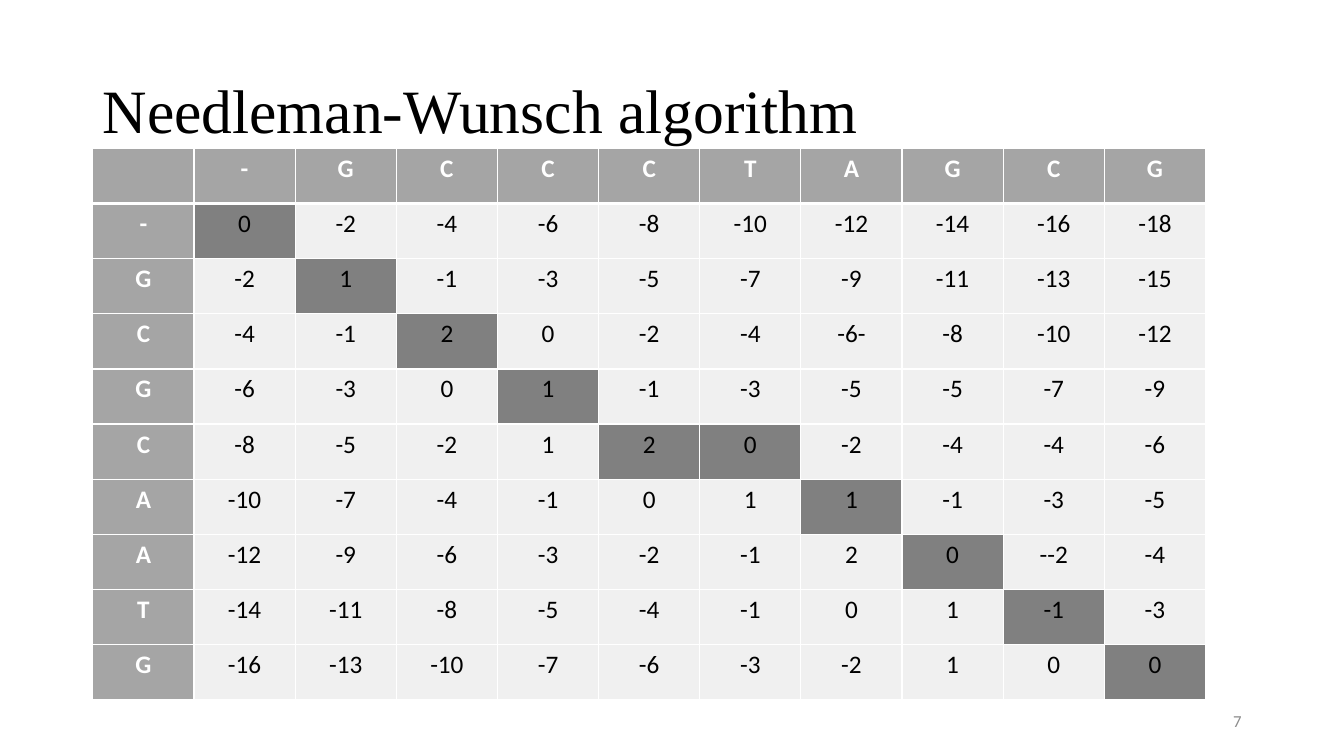
from dataclasses import dataclass

from lxml.etree import SubElement
from pptx import Presentation
from pptx.dml.color import RGBColor
from pptx.enum.text import MSO_ANCHOR, PP_ALIGN
from pptx.oxml.ns import qn
from pptx.util import Cm, Pt


@dataclass(frozen=True)
class Theme:
    heading_font: str = "Times New Roman"
    body_font: str = "Calibri"
    title_size: int = 44
    cell_size: int = 18
    number_size: int = 12
    black: str = "000000"
    white: str = "FFFFFF"
    label_fill: str = "A5A5A5"
    score_fill: str = "F0F0F0"
    path_fill: str = "808080"
    number_grey: str = "8C8C8C"


THEME = Theme()


def style(paragraph, font_name, size, color, align, bold=False):
    paragraph.alignment = align
    font = paragraph.font
    font.name, font.size, font.bold = font_name, Pt(size), bold
    font.color.rgb = RGBColor.from_string(color)


def add_borders(cell, widths):
    for side, width in widths.items():
        line = SubElement(cell._tc.get_or_add_tcPr(), qn(f"a:ln{side}"), w=str(Pt(width)))
        fill = SubElement(line, qn("a:solidFill"))
        SubElement(fill, qn("a:srgbClr"), val=THEME.white)


# Slide
deck = Presentation()
deck.slide_width, deck.slide_height = Cm(33.87), Cm(19.05)
slide = deck.slides.add_slide(deck.slide_layouts[5])

# Title
title = slide.shapes.title
title.left, title.top, title.width, title.height = Cm(2.33), Cm(1.01), Cm(29.21), Cm(3.68)
title.text_frame.text = "Needleman-Wunsch algorithm"
title.text_frame.vertical_anchor = MSO_ANCHOR.MIDDLE
heading = title.text_frame.paragraphs[0]
heading.line_spacing = 0.9
style(heading, THEME.heading_font, THEME.title_size, THEME.black, PP_ALIGN.LEFT)

# Slide number
number_box = slide.shapes.add_textbox(Cm(23.92), Cm(17.66), Cm(7.62), Cm(1.01))
number_box.text_frame.word_wrap = True
number_box.text_frame.vertical_anchor = MSO_ANCHOR.MIDDLE
number_box.text_frame.text = "7"
style(number_box.text_frame.paragraphs[0], THEME.body_font, THEME.number_size,
      THEME.number_grey, PP_ALIGN.RIGHT)

# Alignment scores: first row and first column hold the two sequences
matrix = [["", *"-GCCCTAGCG"]] + [line.split() for line in (
    "- 0 -2 -4 -6 -8 -10 -12 -14 -16 -18",
    "G -2 1 -1 -3 -5 -7 -9 -11 -13 -15",
    "C -4 -1 2 0 -2 -4 -6- -8 -10 -12",
    "G -6 -3 0 1 -1 -3 -5 -5 -7 -9",
    "C -8 -5 -2 1 2 0 -2 -4 -4 -6",
    "A -10 -7 -4 -1 0 1 1 -1 -3 -5",
    "A -12 -9 -6 -3 -2 -1 2 0 --2 -4",
    "T -14 -11 -8 -5 -4 -1 0 1 -1 -3",
    "G -16 -13 -10 -7 -6 -3 -2 1 0 0",
)]

# The traceback runs diagonally, with one horizontal step in row 5
traceback = {(i, i) for i in range(1, 6)} | {(i, i + 1) for i in range(5, 10)}

# Score table
row_count, column_count = len(matrix), len(matrix[0])
column_width, row_height = Cm(2.55), Cm(1.39)
scores = slide.shapes.add_table(row_count, column_count, Cm(2.34), Cm(3.74),
                                column_width * column_count,
                                row_height * row_count).table
for column in scores.columns:
    column.width = column_width

for i, values in enumerate(matrix):
    scores.rows[i].height = row_height
    for j, value in enumerate(values):
        cell = scores.cell(i, j)
        is_label = i == 0 or j == 0
        cell.text = value
        style(cell.text_frame.paragraphs[0], THEME.body_font, THEME.cell_size,
              THEME.white if is_label else THEME.black, PP_ALIGN.CENTER, is_label)
        add_borders(cell, {"L": 1, "R": 1, "T": 3 if i == 1 else 1, "B": 3 if i == 0 else 1})
        if is_label:
            fill_color = THEME.label_fill
        elif (i, j) in traceback:
            fill_color = THEME.path_fill
        else:
            fill_color = THEME.score_fill
        cell.fill.solid()
        cell.fill.fore_color.rgb = RGBColor.from_string(fill_color)

deck.save("out.pptx")
